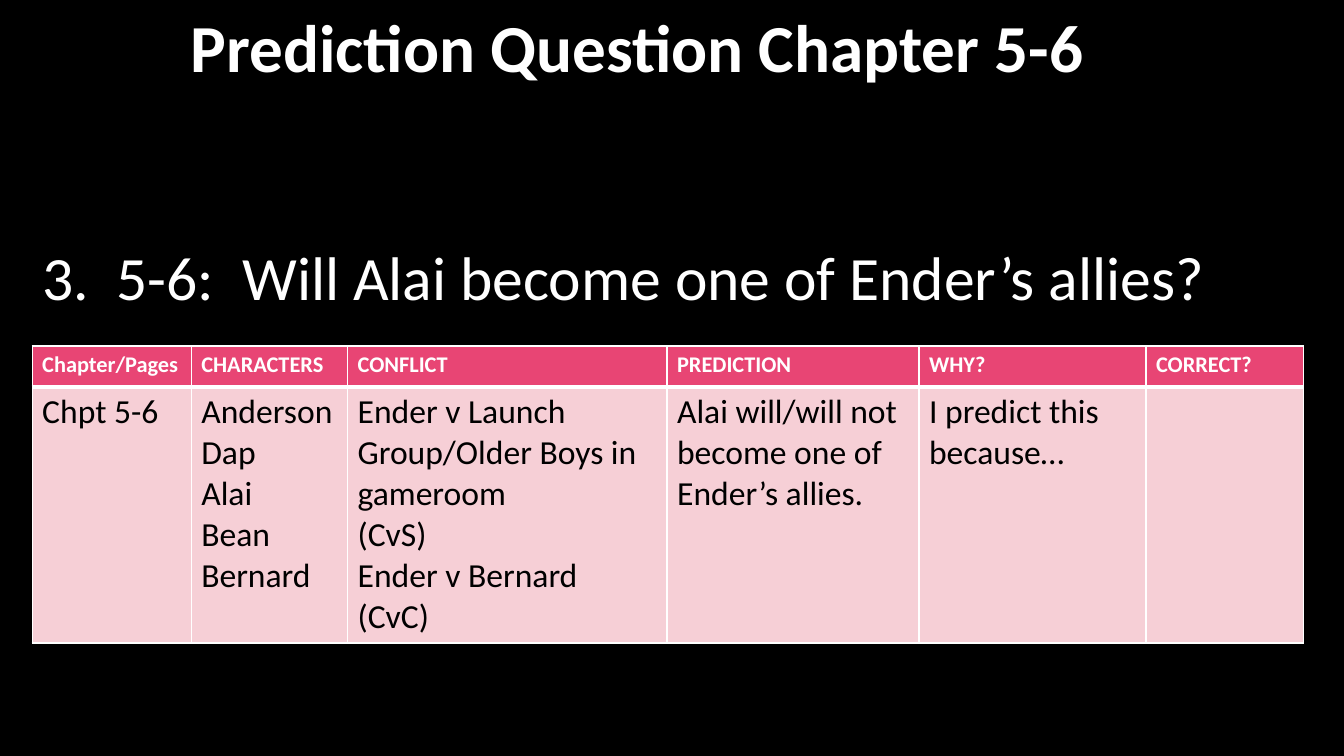
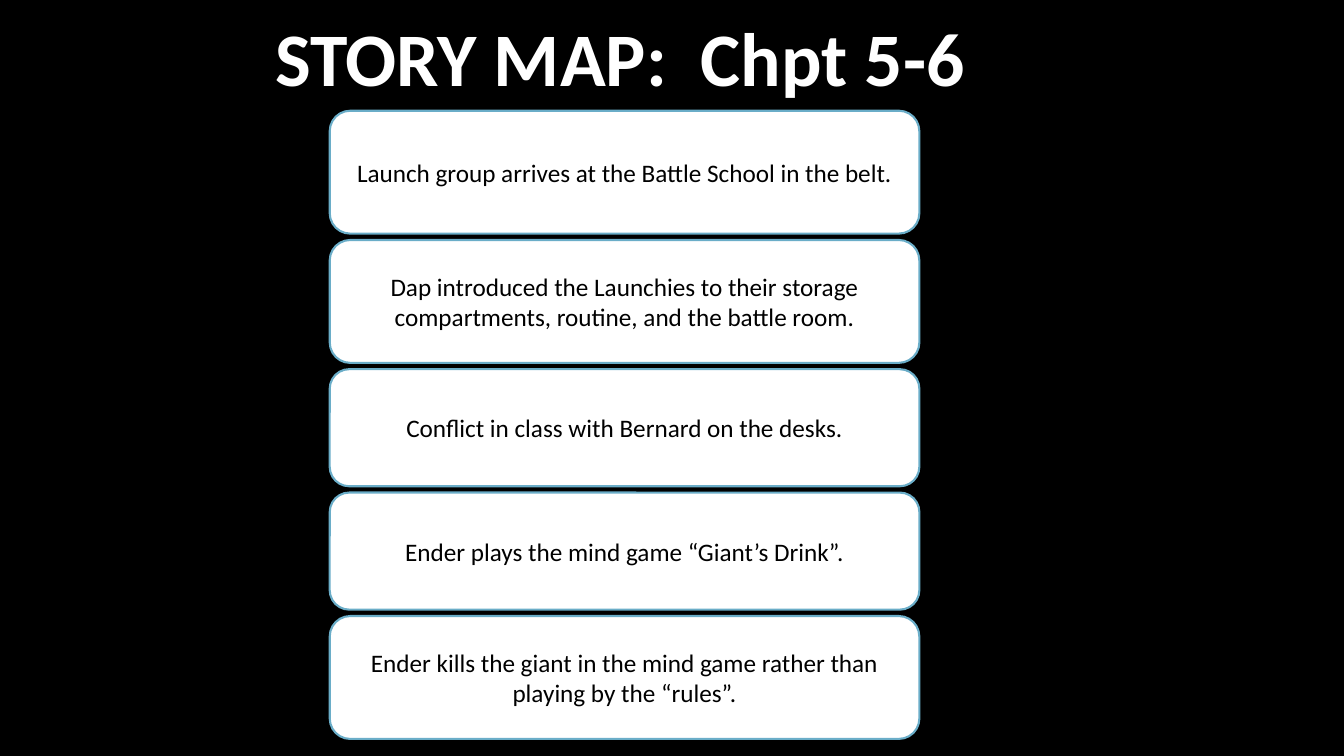
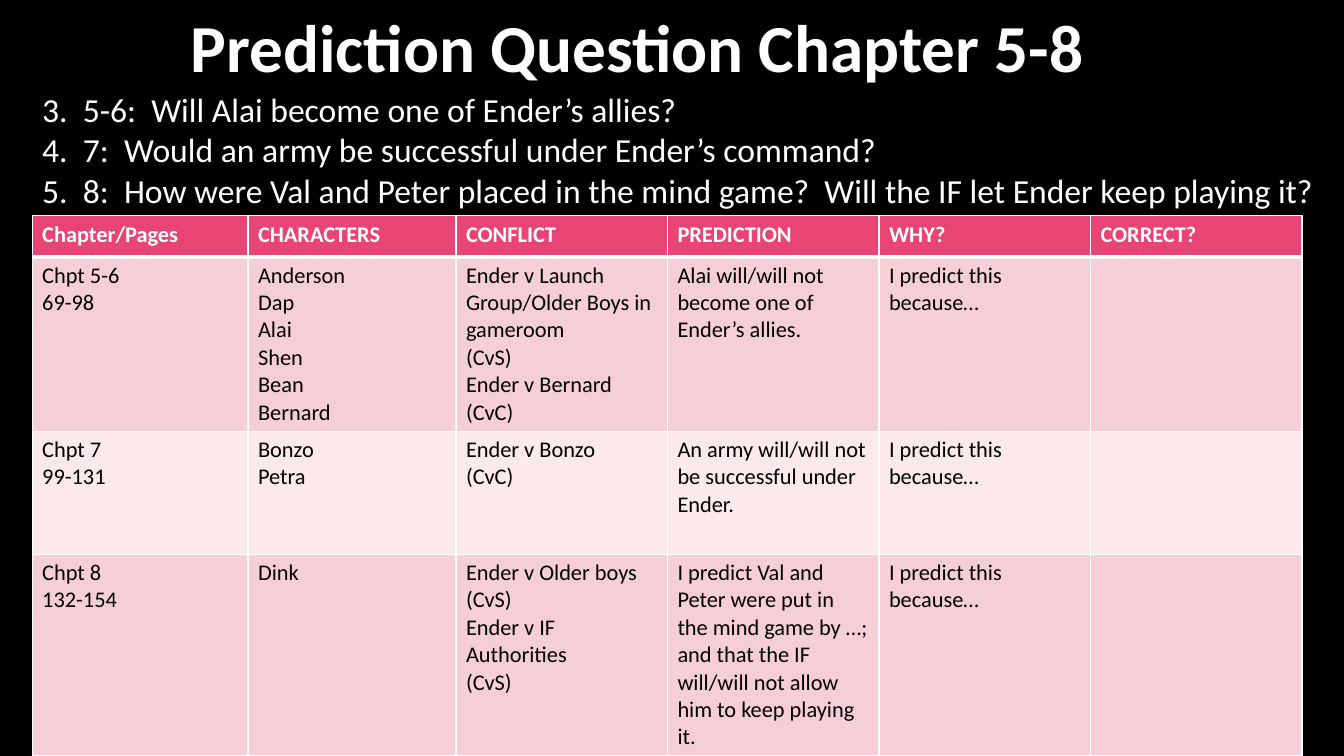
from collections import namedtuple

from lxml.etree import SubElement
from pptx import Presentation
from pptx.dml.color import RGBColor
from pptx.enum.shapes import MSO_SHAPE
from pptx.enum.text import MSO_ANCHOR, MSO_AUTO_SIZE, PP_ALIGN
from pptx.oxml.ns import qn
from pptx.util import Cm, Pt

FONT = "Calibri"
BLACK = RGBColor(0x00, 0x00, 0x00)
WHITE = RGBColor(0xFF, 0xFF, 0xFF)
PINK = RGBColor(0xE8, 0x45, 0x74)
ROSE = RGBColor(0xF6, 0xCF, 0xD6)
BLUSH = RGBColor(0xFB, 0xE9, 0xEB)
BLUE = RGBColor(0x6A, 0xAD, 0xC8)

TITLE_AND_CONTENT, TITLE_ONLY = 1, 5

# Boxes are in centimetres
Box = namedtuple("Box", "left top width height")
PREDICTION_TITLE = Box(4.55, 0, 23.27, 2.31)
STORY_TITLE = Box(6.68, 0.15, 18.08, 2.57)

HEADER = ["Chapter/Pages", "CHARACTERS", "CONFLICT", "PREDICTION", "WHY?", "CORRECT?"]
LAUNCH_CONFLICT = "Ender v Launch Group/Older Boys in gameroom\n(CvS)\nEnder v Bernard\n(CvC)"
ALAI_QUESTION = "3.  5-6:  Will Alai become one of Ender’s allies?"
ALAI_PREDICTION = "Alai will/will not become one of Ender’s allies."
REASON = "I predict this because…"


def place(shape, box):
    shape.left, shape.top, shape.width, shape.height = (Cm(v) for v in box)


def style_text(tf, size, color, bold=False, align=PP_ALIGN.LEFT):
    for p in tf.paragraphs:
        p.alignment = align
        p.space_before = Pt(0)
        for r in p.runs:
            r.font.name = FONT
            r.font.size = Pt(size)
            r.font.bold = bold
            r.font.color.rgb = color


def set_title(s, box, text, size):
    title = s.shapes.title
    place(title, box)
    tf = title.text_frame
    tf.text = text
    tf.auto_size = MSO_AUTO_SIZE.NONE
    tf.word_wrap = False
    tf.vertical_anchor = MSO_ANCHOR.TOP
    style_text(tf, size, WHITE, bold=True)


def set_questions(s, box, questions, size):
    body = s.placeholders[1]
    place(body, box)
    tf = body.text_frame
    tf.text = "\n".join(questions)
    tf.auto_size = MSO_AUTO_SIZE.NONE
    tf.word_wrap = True
    for p in tf.paragraphs:
        pPr = p._p.get_or_add_pPr()
        pPr.set("marL", "0")
        pPr.set("indent", "0")
        SubElement(pPr, qn("a:buNone"))
    style_text(tf, size, WHITE)


def set_borders(cell, top, bottom):
    tcPr = cell._tc.get_or_add_tcPr()
    for side, width in (("L", 1), ("R", 1), ("T", top), ("B", bottom)):
        ln = SubElement(tcPr, qn(f"a:ln{side}"), w=str(Pt(width)))
        fill = SubElement(ln, qn("a:solidFill"))
        SubElement(fill, qn("a:srgbClr"), val=str(WHITE))


def add_prediction_table(s, box, widths, heights, rows, size):
    rows = [HEADER] + rows
    left, top, width, height = (Cm(v) for v in box)
    table = s.shapes.add_table(len(rows), len(HEADER), left, top, width, height).table
    for column, w in zip(table.columns, widths):
        column.width = Cm(w)
    for i, (row, h) in enumerate(zip(rows, heights)):
        table.rows[i].height = Cm(h)
        is_header = i == 0
        for cell, text in zip(table.rows[i].cells, row):
            # The rule under the header is heavier than the others
            set_borders(cell, top=3 if i == 1 else 1, bottom=3 if is_header else 1)
            cell.fill.solid()
            cell.fill.fore_color.rgb = PINK if is_header else (ROSE if i % 2 else BLUSH)
            cell.text_frame.text = text
            if is_header:
                style_text(cell.text_frame, 16, WHITE, bold=True)
            else:
                style_text(cell.text_frame, size, BLACK)


def add_story_cards(s, box, events, gap=0.16):
    """Stack the events; each card's height follows its weight."""
    total = sum(weight for weight, _ in events)
    unit = (box.height - gap * (len(events) - 1)) / total
    top = box.top
    for weight, text in events:
        height = unit * weight
        card = s.shapes.add_shape(MSO_SHAPE.ROUNDED_RECTANGLE, Cm(box.left), Cm(top),
                                  Cm(box.width), Cm(height))
        card.shadow.inherit = False
        card.fill.solid()
        card.fill.fore_color.rgb = WHITE
        card.line.color.rgb = BLUE
        card.line.width = Pt(1.5)
        tf = card.text_frame
        tf.text = text
        tf.word_wrap = True
        tf.vertical_anchor = MSO_ANCHOR.MIDDLE
        style_text(tf, 18, BLACK, align=PP_ALIGN.CENTER)
        top += height + gap


def build_alai_prediction(prs):
    s = prs.slides.add_slide(prs.slide_layouts[TITLE_AND_CONTENT])
    set_title(s, PREDICTION_TITLE, "Prediction Question Chapter 5-6", 48)
    set_questions(s, Box(0.81, 5.89, 32, 2.13), [ALAI_QUESTION], 44)
    add_prediction_table(
        s, Box(0.81, 8.72, 32, 7.39),
        widths=[4.01, 3.94, 8.05, 6.35, 5.72, 3.96],
        heights=[1.03, 6.35],
        rows=[["Chpt 5-6", "Anderson\nDap\nAlai\nBean\nBernard", LAUNCH_CONFLICT,
               ALAI_PREDICTION, REASON, ""]],
        size=24)


def build_story_map(prs):
    s = prs.slides.add_slide(prs.slide_layouts[TITLE_ONLY])
    set_title(s, STORY_TITLE, "STORY MAP:  Chpt 5-6", 54)
    add_story_cards(s, Box(8.31, 2.79, 14.86, 15.83), [
        (1.05, "Launch group arrives at the Battle School in the belt."),
        (1.05, "Dap introduced the Launchies to their storage compartments, "
               "routine, and the battle room."),
        (1, "Conflict in class with Bernard on the desks."),
        (1, "Ender plays the mind game “Giant’s Drink”."),
        (1.05, "Ender kills the giant in the mind game rather than playing by the “rules”."),
    ])


def build_all_predictions(prs):
    s = prs.slides.add_slide(prs.slide_layouts[TITLE_AND_CONTENT])
    set_title(s, PREDICTION_TITLE, "Prediction Question Chapter 5-8", 48)
    set_questions(s, Box(0.81, 2.11, 33.05, 3.33), [
        ALAI_QUESTION,
        "4.  7:  Would an army be successful under Ender’s command?",
        "5.  8:  How were Val and Peter placed in the mind game?  "
        "Will the IF let Ender keep playing it?",
    ], 24)
    add_prediction_table(
        s, Box(0.81, 5.44, 32, 13.44),
        widths=[5.44, 5.24] + [5.33] * 4,
        heights=[1.03, 4.3, 3.1, 5],
        rows=[
            ["Chpt 5-6\n69-98", "Anderson\nDap\nAlai\nShen\nBean\nBernard",
             LAUNCH_CONFLICT, ALAI_PREDICTION, REASON, ""],
            ["Chpt 7\n99-131", "Bonzo\nPetra", "Ender v Bonzo\n(CvC)",
             "An army will/will not be successful under Ender.", REASON, ""],
            ["Chpt 8\n132-154", "Dink",
             "Ender v Older boys\n(CvS)\nEnder v IF Authorities\n(CvS)",
             "I predict Val and Peter were put in the mind game by …; and that "
             "the IF will/will not allow him to keep playing it.", REASON, ""],
        ],
        size=16)


def main():
    prs = Presentation()
    prs.slide_width, prs.slide_height = Cm(33.87), Cm(19.05)
    # Black background for every slide
    background = prs.slide_master.background.fill
    background.solid()
    background.fore_color.rgb = BLACK
    build_alai_prediction(prs)
    build_story_map(prs)
    build_all_predictions(prs)
    prs.save("out.pptx")


if __name__ == "__main__":
    main()
